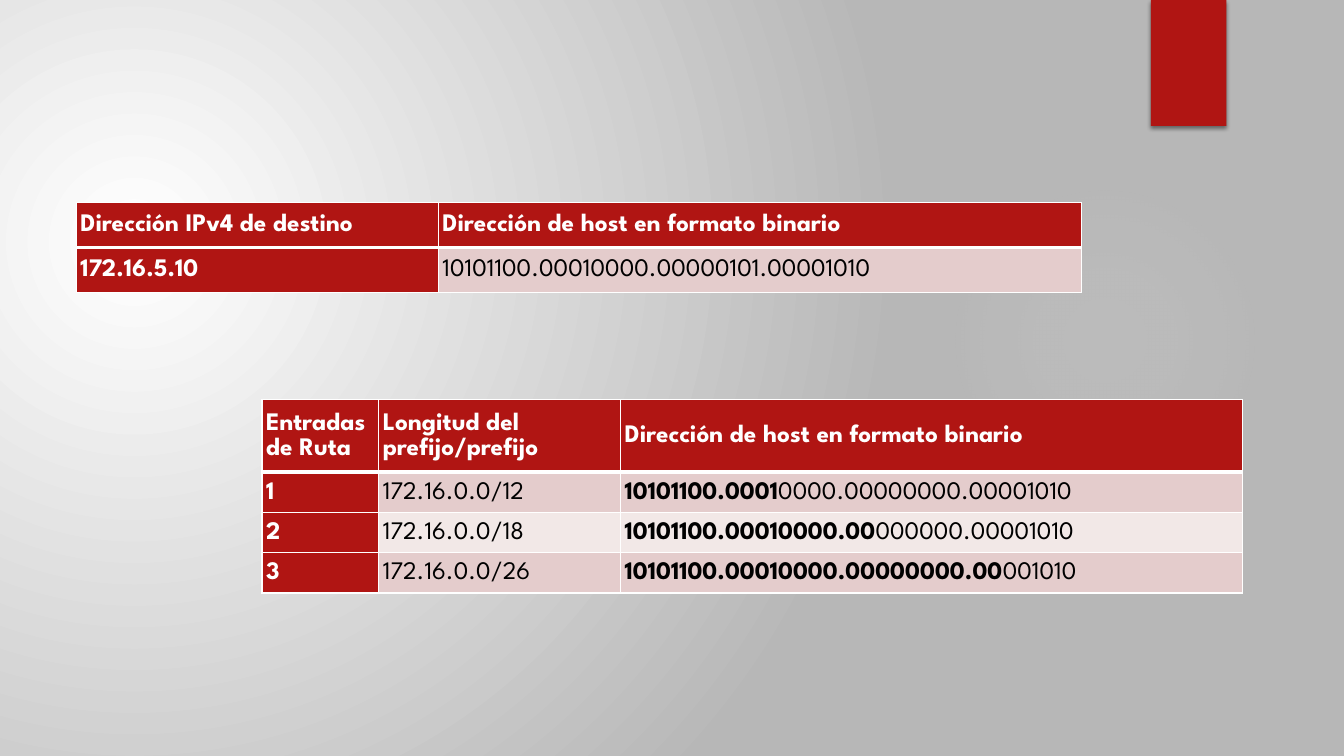
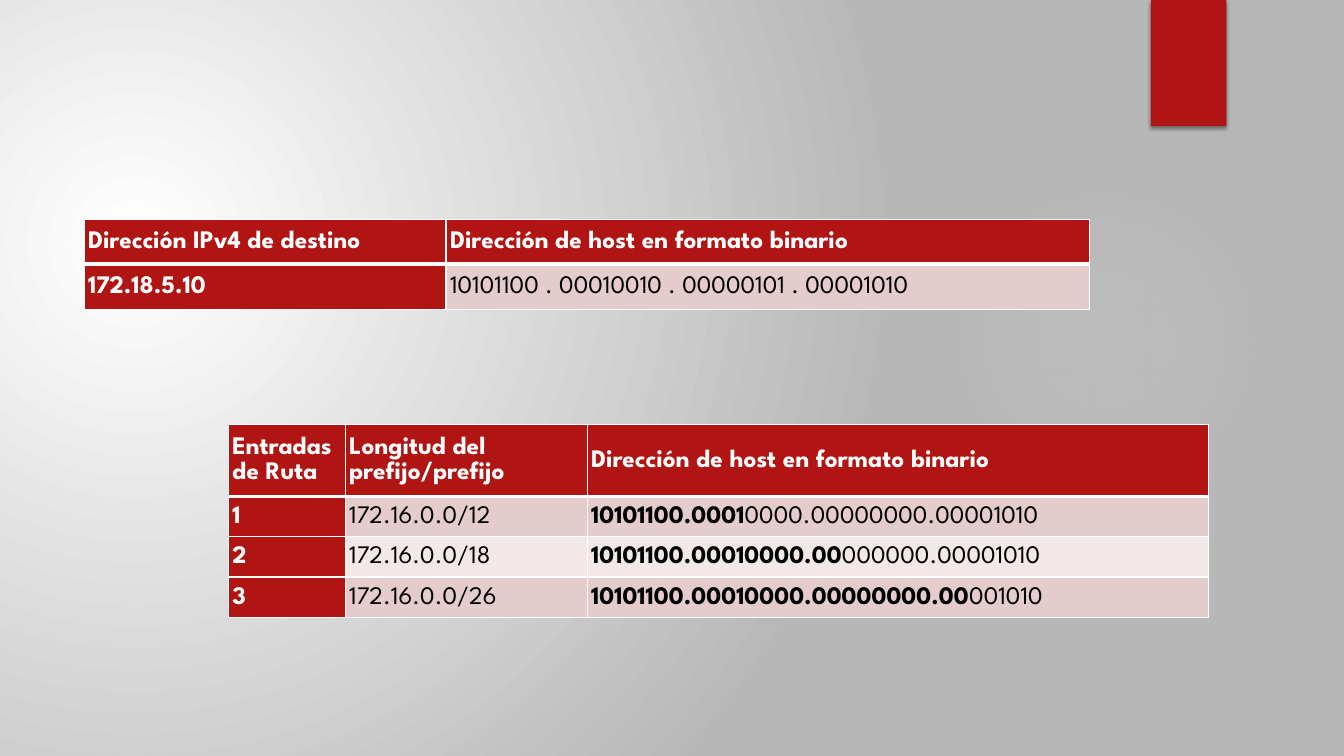
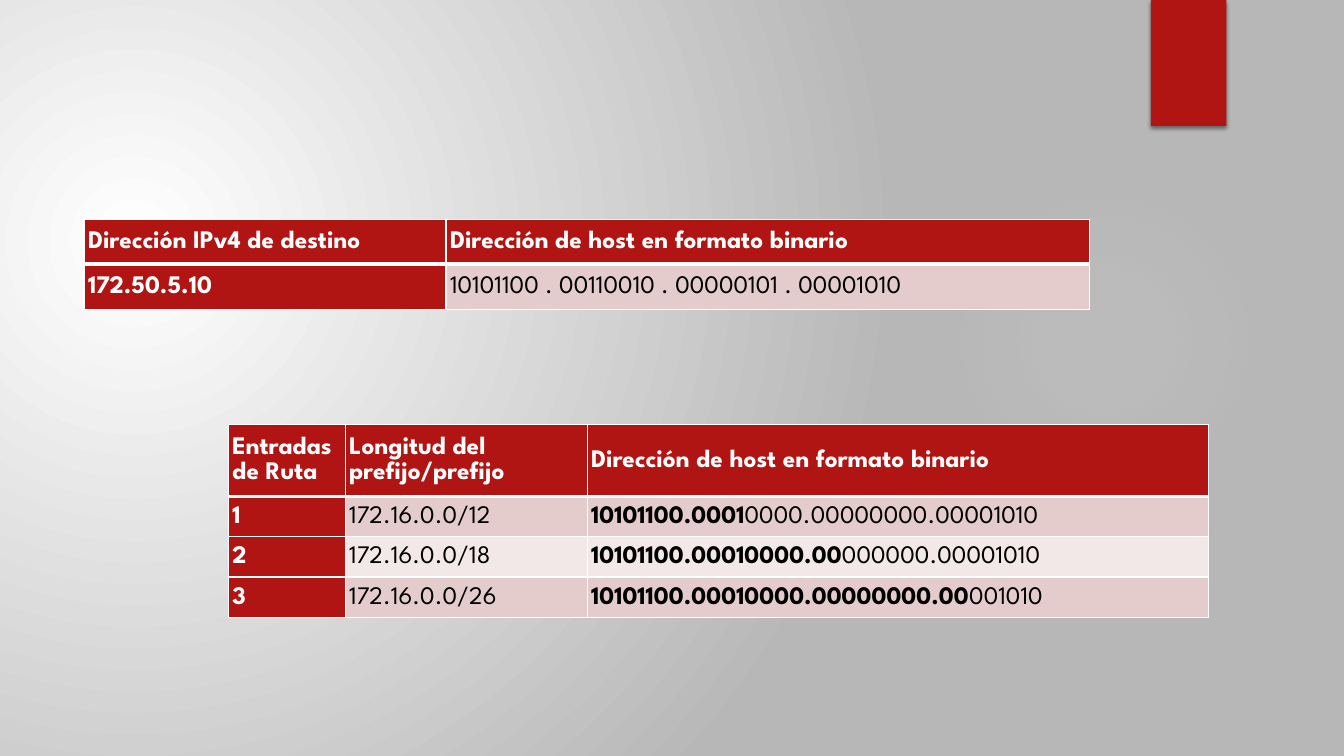
from lxml import etree
from pptx import Presentation
from pptx import util as u
from pptx.dml.color import RGBColor
from pptx.enum import shapes, text
from pptx.oxml.ns import qn

RED, WHITE, BLACK = "B01513", "FFFFFF", "000000"
BANDS = ("E4CCCC", "F2E8E7")
FONT = "League Spartan"
GRID_COLUMNS, GRID_ROWS = 160, 90

BINARY_HEADING = "Dirección de host en formato binario"
DESTINATION_HEADINGS = ("Dirección IPv4 de destino", BINARY_HEADING)
ROUTE_HEADINGS = ("Entradas de Ruta", "Longitud del prefijo/prefijo", BINARY_HEADING)
ROUTES = (
    ("1", "172.16.0.0/12", ("10101100.0001", "0000.00000000.00001010")),
    ("2", "172.16.0.0/18", ("10101100.00010000.00", "000000.00001010")),
    ("3", "172.16.0.0/26", ("10101100.00010000.00000000.00", "001010")),
)
DESTINATIONS = (
    ("172.16.5.10", "10101100.00010000.00000101.00001010", (9.1, 24.1), (31.2, 47.6)),
    ("172.18.5.10", "10101100 . 00010010 . 00000101 . 00001010", (10, 26.1), (27.2, 50.5)),
    ("172.50.5.10", "10101100 . 00110010 . 00000101 . 00001010", (10, 26.1), (27.2, 50.5)),
)


def color(hex_value):
    return RGBColor.from_string(hex_value)


def child(parent, tag, **attributes):
    return etree.SubElement(parent, qn(tag), {k: str(v) for k, v in attributes.items()})


def write(paragraph, content, size=18, ink=BLACK, bold=False):
    run = paragraph.add_run()
    run.text = content
    run.font.name = FONT
    run.font.size = u.Pt(size)
    run.font.bold = bold
    run.font.color.rgb = color(ink)


def radial(fill, owner, stops, focus):
    fill.gradient()
    gradient = next(owner.iter(qn("a:gradFill")))
    for part in list(gradient):
        gradient.remove(part)
    stop_list = child(gradient, "a:gsLst")
    for position, tint, opacity in stops:
        stop = child(stop_list, "a:gs", pos=position * 1000)
        child(child(stop, "a:srgbClr", val=tint), "a:alpha", val=opacity * 1000)
    circle = child(gradient, "a:path", path="circle")
    child(circle, "a:fillToRect", **{side: share * 1000 for side, share in zip("ltrb", focus)})


class Deck:
    def __init__(self):
        self.file = Presentation()
        self.file.slide_width = u.Inches(13.33)
        self.file.slide_height = u.Inches(7.5)
        self.slide = None
        master = self.file.slide_master
        radial(master.background.fill, master.element,
               ((0, WHITE, 100), (100, "B7B7B7", 100)), (45, 65, 125, 100))

    def x(self, columns):
        return round(self.file.slide_width * columns / GRID_COLUMNS)

    def y(self, rows):
        return round(self.file.slide_height * rows / GRID_ROWS)

    def new_slide(self):
        self.slide = self.file.slides.add_slide(self.file.slide_layouts[6])
        self.glow(113, 22, 37)
        self.ribbon(137, 0, 9, 15)

    def shape(self, kind, left, top, width, height):
        item = self.slide.shapes.add_shape(
            kind, self.x(left), self.y(top), self.x(width), self.y(height))
        item.shadow.inherit = False
        item.line.fill.background()
        return item

    def glow(self, left, top, size):
        halo = self.shape(shapes.MSO_SHAPE.OVAL, left, top, size, size)
        radial(halo.fill, halo.element,
               ((0, "F3F3F3", 7), (36, "F3F3F3", 6), (69, "F3F3F3", 0)), (50, 50, 50, 50))

    def ribbon(self, left, top, width, height):
        band = self.shape(shapes.MSO_SHAPE.RECTANGLE, left, top, width, height)
        band.fill.solid()
        band.fill.fore_color.rgb = color(RED)
        effects = next(band.element.iter(qn("a:effectLst")))
        shadow = child(effects, "a:outerShdw", blurRad=u.Pt(3), dist=u.Pt(2),
                       dir=90 * 60000, algn="ctr", rotWithShape=0)
        child(child(shadow, "a:srgbClr", val=BLACK), "a:alpha", val=45000)

    def borders(self, cell, top, bottom):
        properties = cell._tc.get_or_add_tcPr()
        for index, (side, width) in enumerate(zip("LRTB", (1, 1, top, bottom))):
            line = child(properties, f"a:ln{side}", w=u.Pt(width))
            child(child(line, "a:solidFill"), "a:srgbClr", val=WHITE)
            properties.insert(index, line)

    def cell(self, cell, content, row, column):
        heading = row == 0 or column == 0
        cell.fill.solid()
        cell.fill.fore_color.rgb = color(RED if heading else BANDS[(row - 1) % 2])
        cell.vertical_anchor = text.MSO_ANCHOR.MIDDLE
        cell.margin_left = cell.margin_right = u.Inches(0.04)
        cell.margin_top = cell.margin_bottom = u.Inches(0.04)
        paragraph = cell.text_frame.paragraphs[0]
        paragraph.line_spacing = 1.07
        paragraph.space_after = u.Pt(8)
        if isinstance(content, tuple):
            prefix, rest = content
            write(paragraph, prefix, bold=True)
            write(paragraph, rest)
        else:
            write(paragraph, content, ink=WHITE if heading else BLACK, bold=heading)
        self.borders(cell, 3 if row == 1 else 1, 3 if row == 0 else 1)

    def table(self, corner, widths, heights, rows):
        left, top = corner
        grid = self.slide.shapes.add_table(
            len(rows), len(widths), self.x(left), self.y(top),
            self.x(sum(widths)), self.y(sum(heights))).table
        grid.first_col = True
        for column, width in zip(grid.columns, widths):
            column.width = self.x(width)
        for index, (height, contents) in enumerate(zip(heights, rows)):
            grid.rows[index].height = self.y(height)
            for column, content in enumerate(contents):
                self.cell(grid.cell(index, column), content, index, column)


def main():
    deck = Deck()
    for address, binary, destination_corner, routes_corner in DESTINATIONS:
        deck.new_slide()
        deck.table(destination_corner, (43.1, 76.6), (5.35, 5.35),
                   (DESTINATION_HEADINGS, (address, binary)))
        deck.table(routes_corner, (13.9, 28.8, 74), (8.6, 4.8, 4.8, 4.8),
                   (ROUTE_HEADINGS, *ROUTES))
    deck.file.save("out.pptx")


if __name__ == "__main__":
    main()
